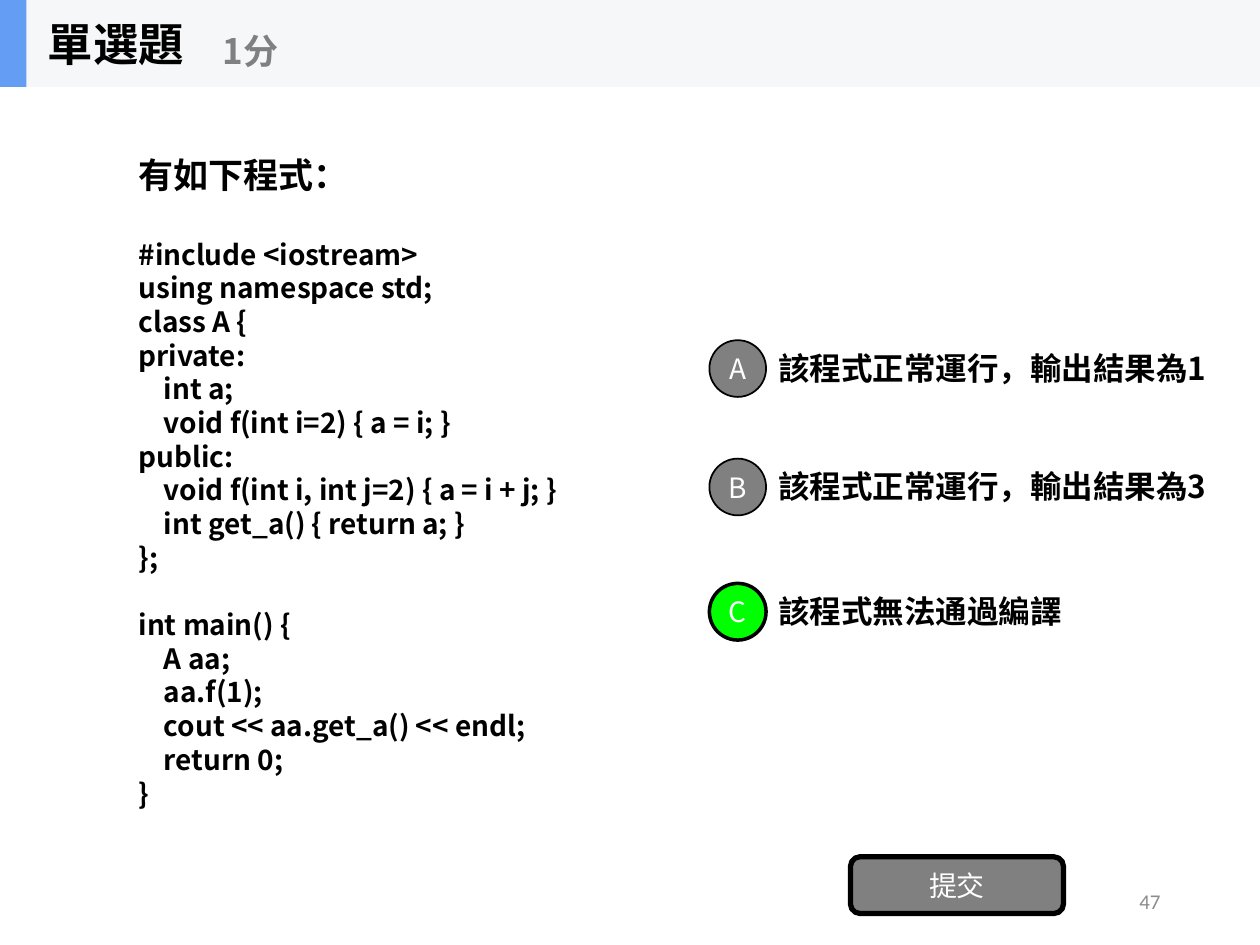
from lxml import etree
from pptx import Presentation
from pptx.dml.color import RGBColor
from pptx.enum.shapes import MSO_SHAPE
from pptx.enum.text import MSO_ANCHOR, MSO_AUTO_SIZE, PP_ALIGN
from pptx.oxml.ns import qn
from pptx.util import Inches, Pt

RECTANGLE, OVAL = MSO_SHAPE.RECTANGLE, MSO_SHAPE.OVAL
ROUNDED = MSO_SHAPE.ROUNDED_RECTANGLE
MIDDLE, NO_AUTOFIT = MSO_ANCHOR.MIDDLE, MSO_AUTO_SIZE.NONE
LEFT, CENTER, RIGHT = PP_ALIGN.LEFT, PP_ALIGN.CENTER, PP_ALIGN.RIGHT

BLACK = RGBColor(0x00, 0x00, 0x00)
WHITE = RGBColor(0xFF, 0xFF, 0xFF)
GRAY = RGBColor(0x80, 0x80, 0x80)
NUMBER_GRAY = RGBColor(0x8C, 0x8C, 0x8C)
GREEN = RGBColor(0x00, 0xFF, 0x00)
BAR_GRAY = RGBColor(0xF6, 0xF7, 0xF8)
BLUE = RGBColor(0x63, 0x9E, 0xF4)

FONT = "Noto Sans CJK SC"
QUESTION = "有如下程式："
CODE_BLOCKS = [
    """#include <iostream>
using namespace std;
class A {
private:
    int a;
    void f(int i=2) { a = i; }
public:
    void f(int i, int j=2) { a = i + j; }
    int get_a() { return a; }
};""",
    """int main() {
    A aa;
    aa.f(1);
    cout << aa.get_a() << endl;
    return 0;
}""",
]
ANSWERS = [
    ("A", "該程式正常運行，輸出結果為1", 2.7, GRAY, 1),
    ("B", "該程式正常運行，輸出結果為3", 3.64, GRAY, 1),
    ("C", "該程式無法通過編譯", 4.63, GREEN, 2),
]


def set_values(target, values):
    """Set every attribute named in a dict of format values."""
    for name, value in values.items():
        setattr(target, name, value)


def write_paragraph(paragraph, text, size, color, bold=False, font=FONT, **layout):
    """Write one formatted run, with the font for Latin and East Asian text."""
    set_values(paragraph, layout)
    run = paragraph.add_run()
    run.text = text
    set_values(run.font, {"size": Pt(size), "bold": bold, "name": font})
    run.font.color.rgb = color
    east_asian = etree.Element(qn("a:ea"), typeface=font)
    run.font._element.find(qn("a:latin")).addnext(east_asian)


def prepare_frame(shape, box):
    """Place a shape in its box and return its text frame, ready for text."""
    names = ("left", "top", "width", "height")
    set_values(shape, dict(zip(names, map(Inches, box))))
    frame = shape.text_frame
    set_values(frame, {"word_wrap": True, "auto_size": NO_AUTOFIT,
                       "vertical_anchor": MIDDLE})
    return frame


def add_label(slide, box, text, size, color, **options):
    """Add a text box with one line of text."""
    shape = slide.shapes.add_textbox(*map(Inches, box))
    write_paragraph(prepare_frame(shape, box).paragraphs[0], text, size, color, **options)


def add_box(slide, kind, box, fill, line_width=0):
    """Add a flat filled shape, outlined in black if a line width is given."""
    shape = slide.shapes.add_shape(kind, *map(Inches, box))
    shape.shadow.inherit = False
    shape.fill.solid()
    shape.fill.fore_color.rgb = fill
    if line_width:
        shape.line.color.rgb = BLACK
        shape.line.width = Pt(line_width)
    else:
        shape.line.fill.background()
    return shape


def add_button(slide, kind, box, text, fill, line_width):
    """Add an outlined shape with a white centred caption."""
    shape = add_box(slide, kind, box, fill, line_width)
    frame = prepare_frame(shape, box)
    set_values(frame, {"margin_left": 0, "margin_right": 0})
    write_paragraph(frame.paragraphs[0], text, 16, WHITE, alignment=CENTER)


def add_header(slide, box):
    """Add the header band with its accent, title and score."""
    left, top, width, height = box
    add_box(slide, RECTANGLE, box, BAR_GRAY)
    add_box(slide, RECTANGLE, (left, top, 0.21, height), BLUE)
    title = slide.shapes.title
    slide.shapes._spTree.append(title._element)
    frame = prepare_frame(title, (left + 0.28, top, 2.08, height))
    write_paragraph(frame.paragraphs[0], "單選題", 26, BLACK, True, alignment=LEFT)
    add_label(slide, (left + 1.67, top + 0.12, 2.5, 0.56), "1分", 20, GRAY, bold=True)


def add_question(slide, box):
    """Fill the body placeholder with the question and its program."""
    frame = prepare_frame(slide.placeholders[1], box)
    lines = [(QUESTION, 20, 24, 0)]
    for block, gap in zip(CODE_BLOCKS, (24, 19.25)):
        for index, text in enumerate(block.splitlines()):
            lines.append((text, 16, 19.25, 0 if index else gap))
    for index, (text, size, pitch, gap) in enumerate(lines):
        paragraph = frame.add_paragraph() if index else frame.paragraphs[0]
        properties = paragraph._p.get_or_add_pPr()
        properties.set("marL", "0")
        properties.set("indent", "0")
        etree.SubElement(properties, qn("a:buNone"))
        write_paragraph(paragraph, text, size, BLACK, True, line_spacing=Pt(pitch),
                        space_before=Pt(gap), space_after=Pt(0))


def add_answer(slide, box, letter, text, fill, line_width):
    """Add a lettered circle with its answer to the right."""
    left, top, width, size = box
    add_label(slide, (left + size, top - 0.13, width - size, 0.7), text, 18, BLACK, bold=True)
    add_button(slide, OVAL, (left, top, size, size), letter, fill, line_width)


def main():
    """Build the quiz slide and save it."""
    presentation = Presentation()
    set_values(presentation, {"slide_width": Inches(10), "slide_height": Inches(7.5)})
    slide = presentation.slides.add_slide(presentation.slide_layouts[1])
    add_label(slide, (7.06, 6.95, 2.25, 0.4), "47", 12, NUMBER_GRAY,
              font="Calibri", alignment=RIGHT)
    add_question(slide, (1, 2.65, 8, 2.34))
    for letter, text, top, fill, line_width in ANSWERS:
        add_answer(slide, (5.63, top, 4.25, 0.45), letter, text, fill, line_width)
    add_button(slide, ROUNDED, (6.75, 6.8, 1.69, 0.45), "提交", GRAY, 3)
    add_header(slide, (0, 0, 10, 0.69))
    presentation.save("out.pptx")


if __name__ == "__main__":
    main()
